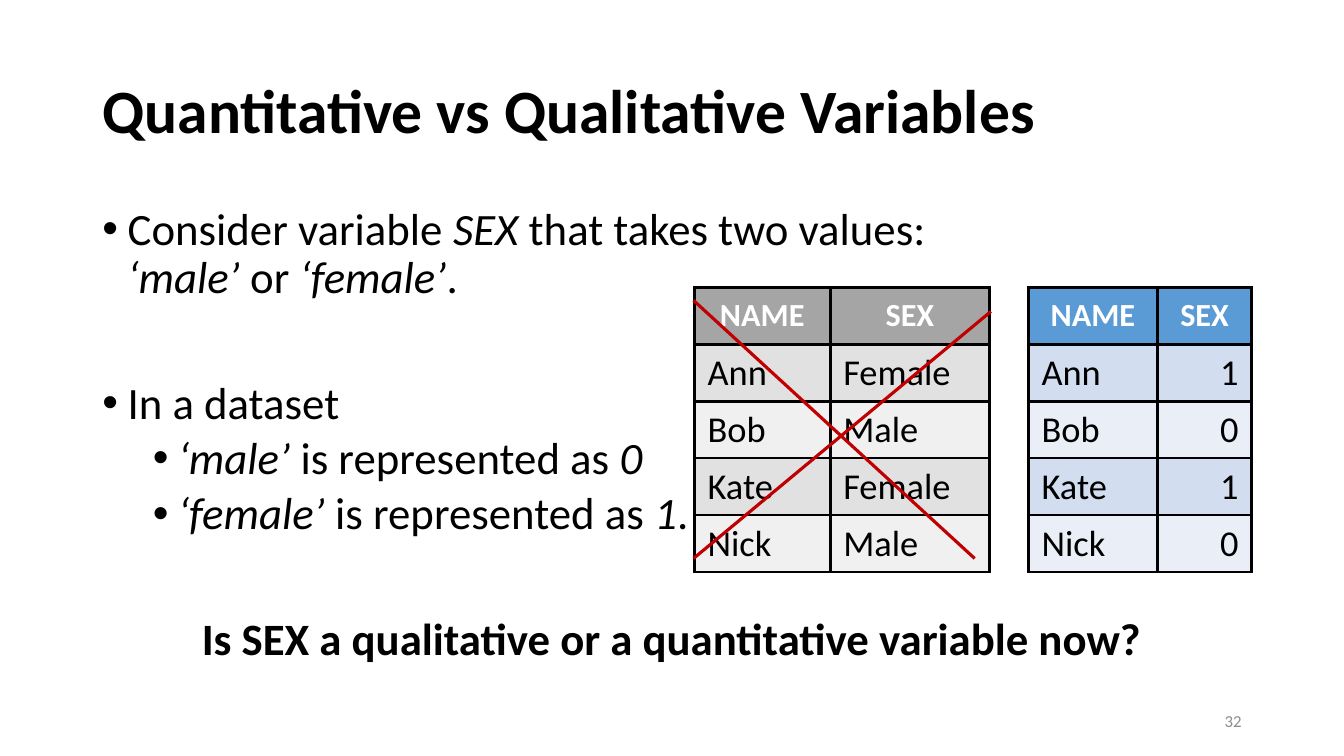
from lxml.etree import SubElement
from pptx import Presentation
from pptx.dml.color import RGBColor
from pptx.enum.shapes import MSO_CONNECTOR
from pptx.enum.text import MSO_ANCHOR, MSO_AUTO_SIZE, PP_ALIGN
from pptx.oxml.ns import qn
from pptx.util import Pt

BLACK = RGBColor(0x00, 0x00, 0x00)
WHITE = RGBColor(0xFF, 0xFF, 0xFF)
RED = RGBColor(0xC0, 0x00, 0x00)
MUTED = RGBColor(0x8C, 0x8C, 0x8C)
# Table colours: header, odd rows, even rows
GREYS = (RGBColor(0xA5, 0xA5, 0xA5), RGBColor(0xE1, 0xE1, 0xE1), RGBColor(0xF0, 0xF0, 0xF0))
BLUES = (RGBColor(0x5B, 0x9B, 0xD5), RGBColor(0xD2, 0xDE, 0xEF), RGBColor(0xEA, 0xEF, 0xF7))


class SlideBuilder:
    font = "Calibri"
    line_width = Pt(2.25)
    row_height = Pt(40.7)

    def __init__(self, slide):
        self.slide = slide

    def place(self, sp, left, top, width, height):
        sp.left, sp.top, sp.width, sp.height = Pt(left), Pt(top), Pt(width), Pt(height)
        tf = sp.text_frame
        tf.word_wrap = True
        tf.auto_size = MSO_AUTO_SIZE.NONE
        return tf

    def run(self, p, text, size, color=BLACK, bold=False, italic=False):
        r = p.add_run()
        r.text = text
        f = r.font
        f.name, f.size, f.bold, f.italic = self.font, Pt(size), bold, italic
        f.color.rgb = color

    def title(self, text, *box):
        tf = self.place(self.slide.shapes.title, *box)
        tf.vertical_anchor = MSO_ANCHOR.MIDDLE
        p = tf.paragraphs[0]
        p.alignment, p.line_spacing = PP_ALIGN.LEFT, 0.9
        self.run(p, text, 44, bold=True)

    def body(self, items, *box):
        """Each item is (level or None for no bullet, space before, runs)."""
        tf = self.place(self.slide.placeholders[1], *box)
        for i, (level, before, runs) in enumerate(items):
            p = tf.paragraphs[0] if i == 0 else tf.add_paragraph()
            p.level, p.line_spacing, p.space_before = level or 0, 0.9, Pt(before)
            pPr = p._p.get_or_add_pPr()
            if level is None:
                p.alignment = PP_ALIGN.CENTER
                pPr.set("marL", "0")
                pPr.set("indent", "0")
                SubElement(pPr, qn("a:buNone"))
            else:
                pPr.set("marL", str(Pt(18 + 36 * level)))
                pPr.set("indent", str(-Pt(18)))
                SubElement(pPr, qn("a:buFont"), typeface="Arial")
                SubElement(pPr, qn("a:buChar"), char="•")
            for text, style in runs:
                if text == "\n":
                    p.add_line_break()
                else:
                    self.run(p, text, 32, bold=style == "b", italic=style == "i")

    def borders(self, cell):
        tcPr = cell._tc.get_or_add_tcPr()
        for side in ("a:lnL", "a:lnR", "a:lnT", "a:lnB"):
            ln = SubElement(tcPr, qn(side), w=str(self.line_width))
            SubElement(SubElement(ln, qn("a:solidFill")), qn("a:srgbClr"), val=str(BLACK))

    def table(self, rows, left, top, widths, fills, value_align):
        frame = self.slide.shapes.add_table(
            len(rows), len(widths), Pt(left), Pt(top), Pt(sum(widths)), self.row_height * len(rows))
        tbl = frame.table
        for col, width in zip(tbl.columns, widths):
            col.width = Pt(width)
        for i, row in enumerate(rows):
            tbl.rows[i].height = self.row_height
            for j, text in enumerate(row):
                cell = tbl.cell(i, j)
                self.borders(cell)
                cell.fill.solid()
                cell.fill.fore_color.rgb = fills[0] if i == 0 else fills[2 - i % 2]
                cell.vertical_anchor = MSO_ANCHOR.MIDDLE
                cell.margin_left = cell.margin_right = Pt(9.4)
                cell.margin_top = cell.margin_bottom = Pt(4.3)
                p = cell.text_frame.paragraphs[0]
                if i == 0:
                    p.alignment = PP_ALIGN.CENTER
                    self.run(p, text, 23, WHITE, bold=True)
                else:
                    p.alignment = value_align if j else PP_ALIGN.LEFT
                    self.run(p, text, 26)

    def cross(self, *strokes):
        group = self.slide.shapes.add_group_shape()
        for stroke in strokes:
            line = group.shapes.add_connector(MSO_CONNECTOR.STRAIGHT, *map(Pt, stroke))
            line.line.color.rgb = RED
            line.line.width = self.line_width
            SubElement(line._element.spPr, qn("a:effectLst"))

    def page_number(self, text, *box):
        tf = self.place(self.slide.shapes.add_textbox(0, 0, 0, 0), *box)
        tf.vertical_anchor = MSO_ANCHOR.MIDDLE
        p = tf.paragraphs[0]
        p.alignment = PP_ALIGN.RIGHT
        self.run(p, text, 12, MUTED)


def main():
    prs = Presentation()
    prs.slide_width, prs.slide_height = Pt(960), Pt(540)
    s = SlideBuilder(prs.slides.add_slide(prs.slide_layouts[1]))

    # Title and bullet list
    s.title("Quantitative vs Qualitative Variables", 66, 28.8, 828, 104.4)
    s.body([
        (0, 10, [("Consider variable ", ""), ("SEX", "i"), (" that takes two values: ", ""), ("\n", ""),
                 ("‘male’", "i"), (" or ", ""), ("‘female’", "i"), (".", "")]),
        (0, 55, [("In a dataset", "")]),
        (1, 5, [("‘male’", "i"), (" is represented as ", ""), ("0", "i")]),
        (1, 5, [("‘female’", "i"), (" is represented as ", ""), ("1", "i"), (".", "")]),
        (None, 55, [("Is SEX a qualitative or a quantitative variable now?", "b")]),
    ], 66, 144, 828, 342.6)

    # Tables: text values and their numeric codes
    people = [("Ann", "Female"), ("Bob", "Male"), ("Kate", "Female"), ("Nick", "Male")]
    codes = {"Male": "0", "Female": "1"}
    header = ("NAME", "SEX")
    s.table([header] + people, 496.1, 205.2, (96.9, 114), GREYS, PP_ALIGN.LEFT)
    s.table([header] + [(name, codes[sex]) for name, sex in people],
            734.6, 205.2, (92.2, 67.4), BLUES, PP_ALIGN.RIGHT)

    # Red cross over the text table
    s.cross((495.4, 214.6, 696.2, 398.9), (707.8, 222.5, 495.4, 398.9))

    # Page number
    s.page_number("32", 678, 500.5, 216, 28.8)
    prs.save("out.pptx")


if __name__ == "__main__":
    main()
